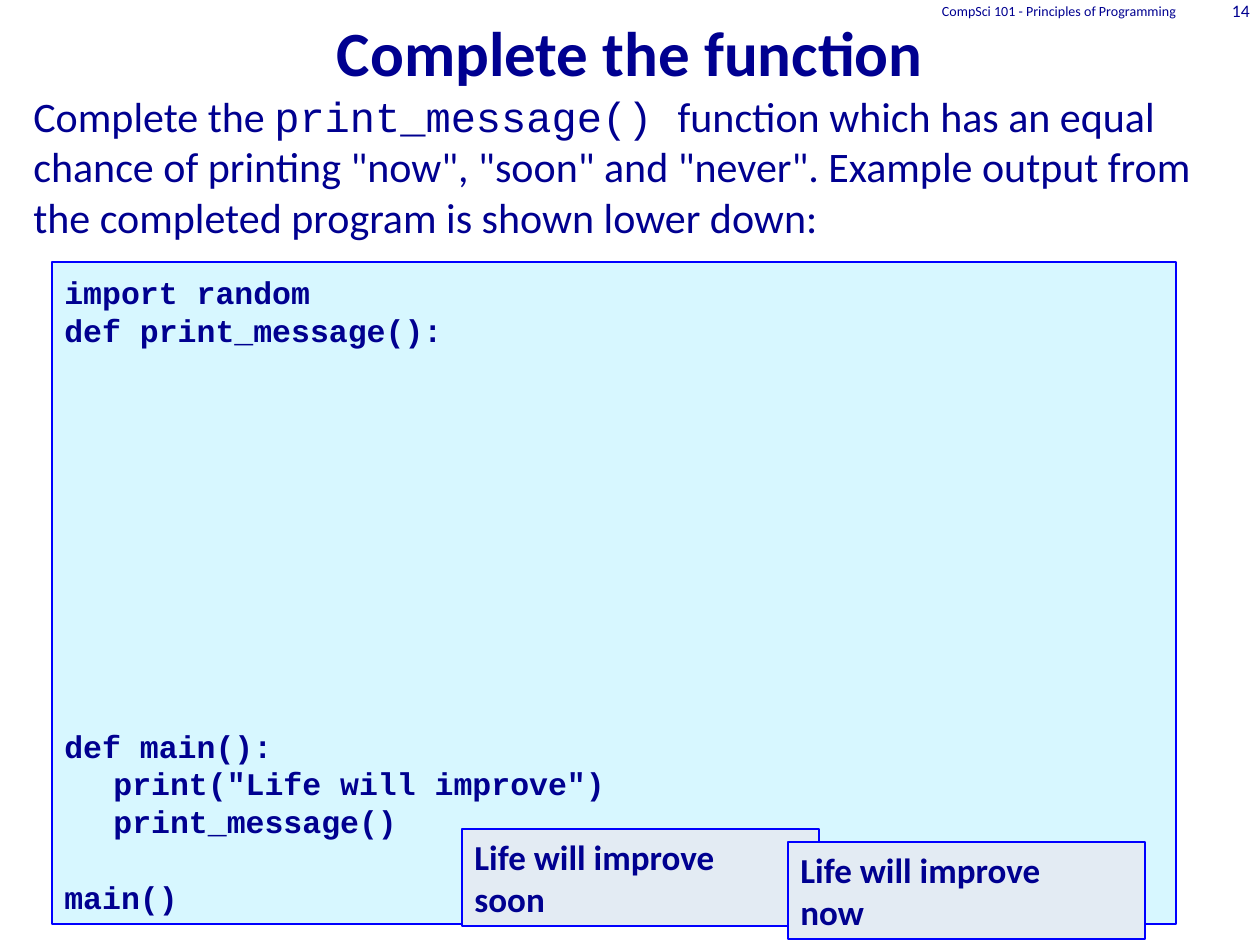
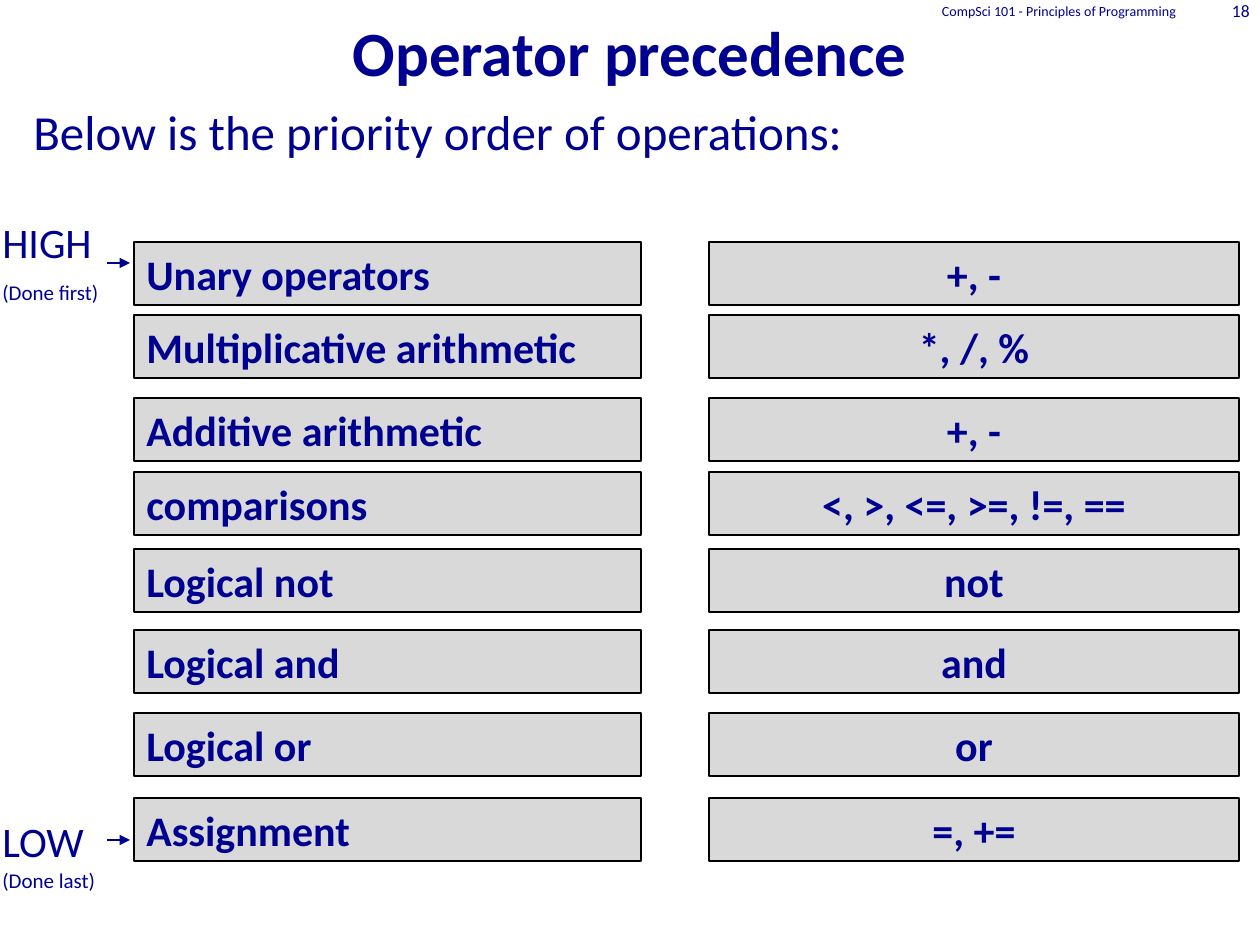
from lxml.etree import SubElement
from pptx import Presentation
from pptx.dml.color import RGBColor
from pptx.enum.shapes import MSO_CONNECTOR, MSO_SHAPE
from pptx.enum.text import MSO_ANCHOR, PP_ALIGN
from pptx.oxml.ns import qn
from pptx.util import Emu, Pt

INK, BLUE, BLACK = "000090", "0000FF", "000000"
CYAN, PALE, GREY = "D7F7FF", "E3EBF3", "D9D9D9"
SANS, MONO = "Calibri", "Courier New"
LEFT, MID, RIGHT = PP_ALIGN.LEFT, PP_ALIGN.CENTER, PP_ALIGN.RIGHT
TOP, BASE = MSO_ANCHOR.TOP, MSO_ANCHOR.BOTTOM
LINE = 21.6


def px(n):
    return Emu(round(n * 914400 / 126))


def tint(code):
    return RGBColor.from_string(code)


class Deck:
    def __init__(self):
        self.deck = Presentation()
        self.deck.slide_width, self.deck.slide_height = px(1260), px(945)
        self.slide = None

    def page(self, title, number):
        self.slide = self.deck.slides.add_slide(self.deck.slide_layouts[6])
        self.text((0, -10, 1260, 105), [title], 36, True, MID, BASE)
        self.text((811, 0, 378, 21), ["CompSci 101 - Principles of Programming"],
                  8, align=RIGHT, anchor=MSO_ANCHOR.MIDDLE)
        self.text((1189, 0, 73, 21), [number], 10, align=RIGHT,
                  anchor=MSO_ANCHOR.MIDDLE)

    def run(self, para, words, size, bold=False, face=SANS):
        run = para.add_run()
        run.text = words
        font = run.font
        font.size, font.bold, font.name = Pt(size), bold, face
        font.color.rgb = tint(INK)

    def fill(self, shape, lines, size, bold, align, anchor):
        frame = shape.text_frame
        frame.word_wrap = True
        frame.vertical_anchor = anchor
        for i, line in enumerate(lines):
            para = frame.add_paragraph() if i else frame.paragraphs[0]
            para.alignment = align
            parts = [(line, SANS)] if isinstance(line, str) else line
            for words, face in parts:
                self.run(para, words, size, bold, face)
        return frame

    def text(self, area, lines, size, bold=False, align=LEFT, anchor=TOP):
        box = self.slide.shapes.add_textbox(*map(px, area))
        return self.fill(box, lines, size, bold, align, anchor)

    def box(self, area, lines, size, back, edge, align=LEFT):
        box = self.slide.shapes.add_shape(MSO_SHAPE.RECTANGLE, *map(px, area))
        box.shadow.inherit = False
        box.fill.solid()
        box.fill.fore_color.rgb = tint(back)
        box.line.color.rgb = tint(edge)
        box.line.width = Pt(0.75)
        return self.fill(box, lines, size, True, align, TOP)

    def code(self, area, rows):
        lines = [[(words, MONO)] for words, gap in rows]
        frame = self.box(area, lines, 18, CYAN, BLUE)
        frame.margin_top = px(11)
        for para, (words, gap) in zip(frame.paragraphs, rows):
            para.line_spacing = Pt(LINE)
            if gap:
                para.space_before = Pt(gap * LINE)
            if words.startswith("\t"):
                tabs = SubElement(para._p.get_or_add_pPr(), qn("a:tabLst"))
                SubElement(tabs, qn("a:tab"), pos=str(px(49)), algn="l")

    def arrow(self, x, y, end):
        line = self.slide.shapes.add_connector(
            MSO_CONNECTOR.STRAIGHT, px(x), px(y), px(end), px(y))
        line.line.color.rgb = tint(INK)
        line.line.width = Pt(0.75)
        SubElement(line.line._get_or_add_ln(), qn("a:tailEnd"), type="triangle")
        SubElement(line._element.spPr, qn("a:effectLst"))


def task(deck):
    deck.page("Complete the function", "14")
    deck.text((21, 84, 1207, 170), [[
        ("Complete the ", SANS),
        ("print_message() ", MONO),
        ('function which has an equal chance of printing "now", "soon" and '
         '"never". Example output from the completed program is shown lower '
         'down:', SANS)]], 24)
    deck.code((52, 262, 1124, 662), [
        ("import random", 0),
        ("def print_message():", 0),
        ("def main():", 10),
        ('\tprint("Life will improve")', 0),
        ("\tprint_message()", 0),
        ("main()", 1)])
    for x, y, word in ((462, 829, "soon"), (788, 842, "now")):
        deck.box((x, y, 357, 97), ["Life will improve", word], 20, PALE, BLUE)


def order(deck):
    deck.page("Operator precedence", "18")
    deck.text((21, 95, 1229, 80),
              ["Below is the priority order of operations:"], 28)
    rows = (
        (242, "Unary operators", "+, -"),
        (315, "Multiplicative arithmetic", "*, /, %"),
        (398, "Additive arithmetic", "+, -"),
        (472, "comparisons", "<, >, <=, >=, !=, =="),
        (549, "Logical not", "not"),
        (630, "Logical and", "and"),
        (713, "Logical or", "or"),
        (798, "Assignment", "=, +="))
    for y, name, signs in rows:
        deck.box((134, y, 507, 63), [name], 24, GREY, BLACK)
        deck.box((709, y, 530, 63), [signs], 24, GREY, BLACK, MID)
    ends = ((210, "HIGH", 273, "(Done first)", 263),
            (809, "LOW", 861, "(Done last)", 840))
    for y, level, low, note, mid in ends:
        deck.text((-10, y, 136, 63), [level], 24)
        deck.text((-10, low, 136, 38), [note], 12)
        deck.arrow(107, mid, 130)


def main():
    deck = Deck()
    task(deck)
    order(deck)
    deck.deck.save("out.pptx")


if __name__ == "__main__":
    main()
